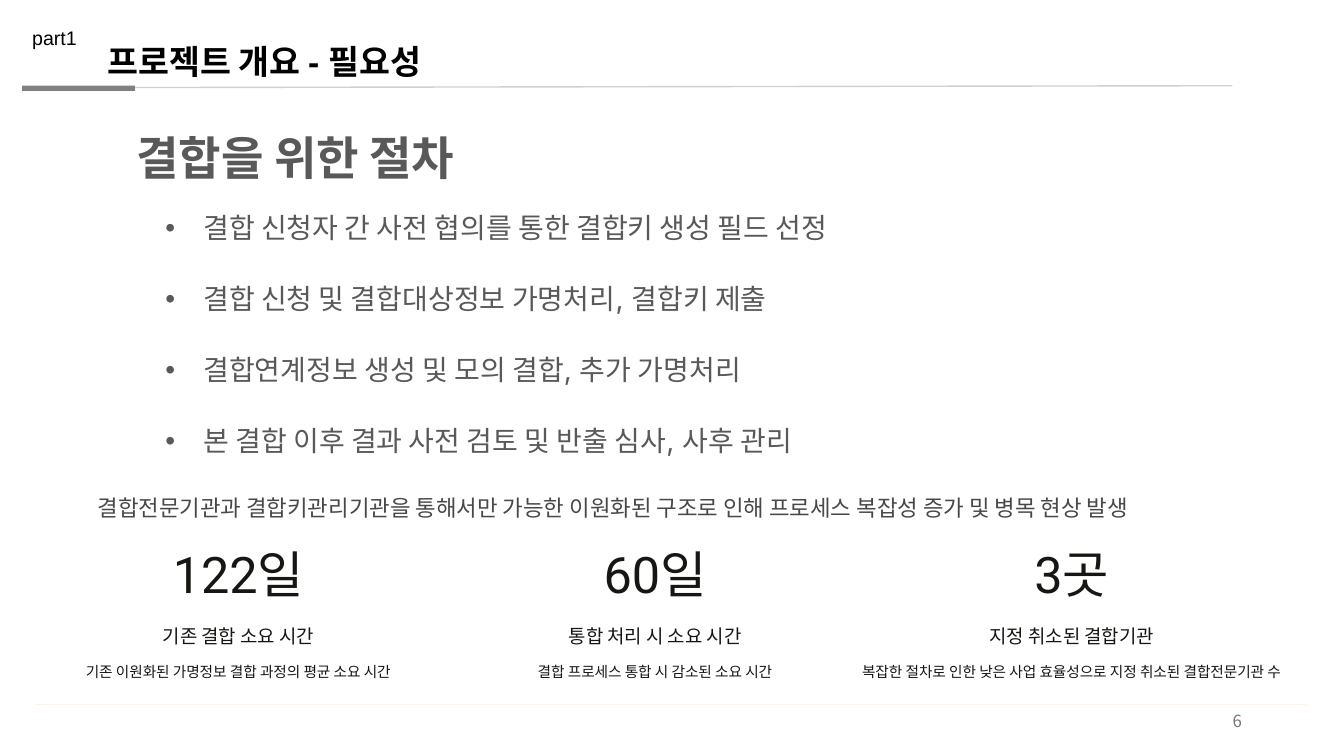
"""Build the slide on why the project is needed: steps and key figures."""
from lxml import etree
from pptx import Presentation
from pptx.dml.color import RGBColor
from pptx.enum.shapes import MSO_CONNECTOR, MSO_SHAPE
from pptx.enum.text import MSO_ANCHOR, MSO_AUTO_SIZE, PP_ALIGN
from pptx.oxml.ns import qn
from pptx.util import Cm, Pt

LINE = MSO_CONNECTOR.STRAIGHT
RECT = MSO_SHAPE.RECTANGLE
TOP, MIDDLE = MSO_ANCHOR.TOP, MSO_ANCHOR.MIDDLE
NOFIT = MSO_AUTO_SIZE.NONE
LEFT, CENTER, RIGHT = PP_ALIGN.LEFT, PP_ALIGN.CENTER, PP_ALIGN.RIGHT

COLORS = {"black": "000000", "ink": "161613", "gray": "595959", "note": "4A4747",
          "page": "797979", "bar": "808080", "rule": "D0D0D0", "foot": "FEF5E7"}


def color(name):
    return RGBColor.from_string(COLORS[name])


def write(shape, box, lines, size, font, tone, align=LEFT, bold=False,
          lead=None, gap=0, pad=(0, 0), anchor=TOP):
    shape.left, shape.top, shape.width, shape.height = [Cm(n) for n in box]
    frame = shape.text_frame
    frame.word_wrap = True
    frame.auto_size = NOFIT
    frame.vertical_anchor = anchor
    frame.margin_left = frame.margin_right = Cm(pad[0])
    frame.margin_top = frame.margin_bottom = Cm(pad[1])
    frame.text = "\n".join(lines)
    for para in frame.paragraphs:
        para.alignment = align
        para.space_before = Pt(0)
        para.space_after = Pt(gap)
        if lead:
            para.line_spacing = Pt(lead)
        para.font.size = Pt(size)
        para.font.name = font
        para.font.bold = bold
        para.font.color.rgb = color(tone)


deck = Presentation()
deck.slide_width, deck.slide_height = Cm(33.87), Cm(19.05)
slide = deck.slides.add_slide(deck.slide_layouts[1])
shapes = slide.shapes
title, body = slide.placeholders
blank = (0, 0, 0, 0)

rules = [(0.91, 17.75, 32.94, 17.75, "foot", 0.75),
         (1.14, 2.21, 31.06, 2.16, "rule", 1)]
for x1, y1, x2, y2, tone, width in rules:
    rule = shapes.add_connector(LINE, Cm(x1), Cm(y1), Cm(x2), Cm(y2))
    rule.line.color.rgb = color(tone)
    rule.line.width = Pt(width)
    etree.SubElement(rule._element.spPr, qn("a:effectLst"))

bar = shapes.add_shape(RECT, Cm(0.56), Cm(2.16), Cm(2.84), Cm(0.13))
bar.shadow.inherit = False
bar.fill.solid()
bar.fill.fore_color.rgb = color("bar")
bar.line.fill.background()

write(shapes.add_textbox(*blank), (0.56, 0.53, 2.18, 0.86), ["part1"],
      14, "Arial", "black", pad=(0.25, 0.13))
write(title, (2.46, 0.89, 21.44, 1.27), ["프로젝트 개요 - 필요성"],
      24, "Arial", "black", bold=True, pad=(0.25, 0.13))
write(shapes.add_textbox(*blank), (3.43, 3.86, 15.11, 1.12), ["결합을 위한 절차"],
      33, "Cambria", "gray", bold=True, lead=22.9)

steps = ["결합 신청자 간 사전 협의를 통한 결합키 생성 필드 선정",
         "결합 신청 및 결합대상정보 가명처리, 결합키 제출",
         "결합연계정보 생성 및 모의 결합, 추가 가명처리",
         "본 결합 이후 결과 사전 검토 및 반출 심사, 사후 관리"]
write(body, (4.17, 5.56, 18.49, 6), steps, 20, "Inter", "gray", lead=17, gap=33.7)

note = "결합전문기관과 결합키관리기관을 통해서만 가능한 이원화된 구조로 인해 프로세스 복잡성 증가 및 병목 현상 발생"
write(shapes.add_textbox(*blank), (2.46, 12.52, 28.47, 0.79), [note],
      16, "Inter", "note", lead=17)

facts = [("122일", "기존 결합 소요 시간", "기존 이원화된 가명정보 결합 과정의 평균 소요 시간"),
         ("60일", "통합 처리 시 소요 시간", "결합 프로세스 통합 시 감소된 소요 시간"),
         ("3곳", "지정 취소된 결합기관", "복잡한 절차로 인한 낮은 사업 효율성으로 지정 취소된 결합전문기관 수")]
rows = [(13.94, 1.27, 36, "Roboto", 36),
        (15.7, 0.61, 13.5, "Roboto", 17),
        (16.54, 0.61, 10.5, "Inter", 17)]
for col, fact in enumerate(facts):
    for text, (top, height, size, font, lead) in zip(fact, rows):
        write(shapes.add_textbox(*blank), (-0.15 + 10.5 * col, top, 12.32, height),
              [text], size, font, "ink", align=CENTER, lead=lead)

write(shapes.add_textbox(*blank), (23.93, 17.65, 7.62, 1.02), ["6"],
      12, "Noto Sans CJK KR", "page", align=RIGHT, pad=(0.25, 0.13), anchor=MIDDLE)

deck.save("out.pptx")
